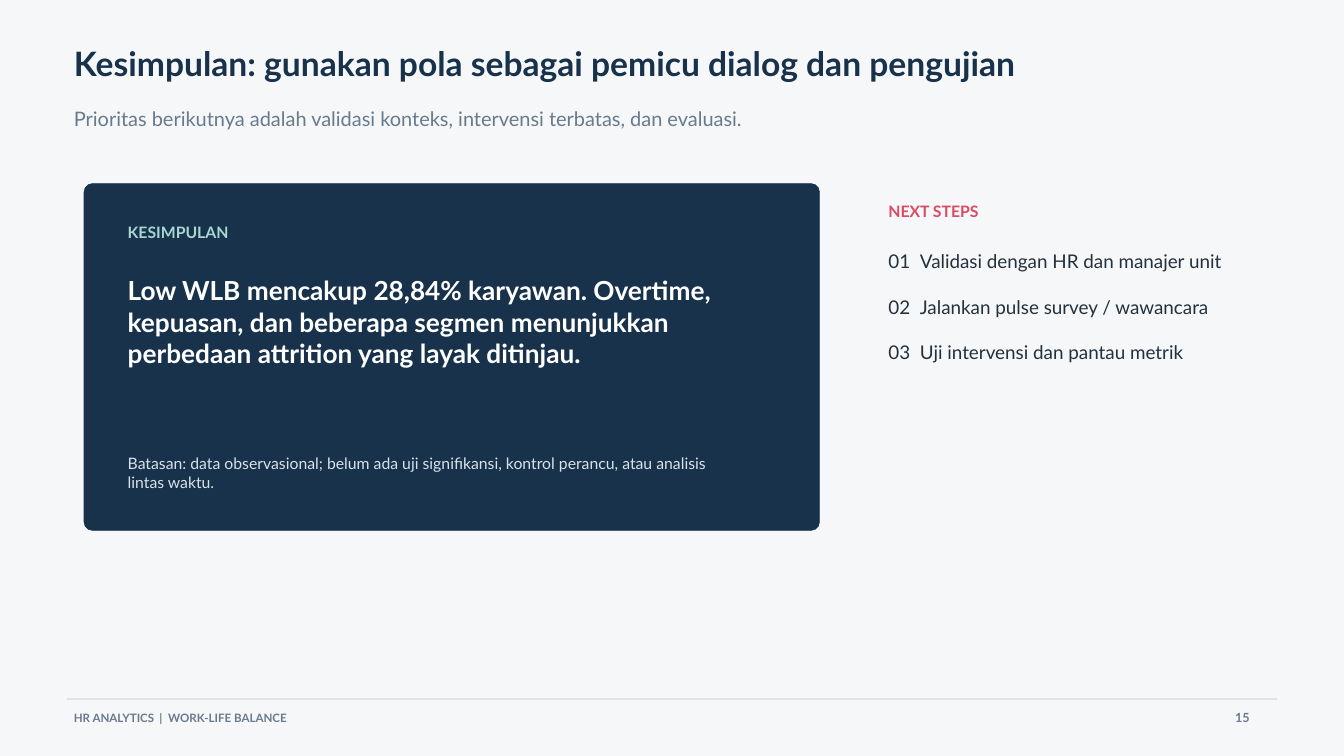
from lxml.etree import SubElement
from pptx import Presentation
from pptx.dml.color import RGBColor
from pptx.enum.shapes import MSO_CONNECTOR as Line, MSO_SHAPE as Shape
from pptx.enum.text import MSO_ANCHOR as Anchor, MSO_AUTO_SIZE as Fit, PP_ALIGN as Align
from pptx.oxml.ns import qn
from pptx.util import Pt

# Content
TITLE = "Kesimpulan: gunakan pola sebagai pemicu dialog dan pengujian"
LEAD = "Prioritas berikutnya adalah validasi konteks, intervensi terbatas, dan evaluasi."
CLAIM = ("Low WLB mencakup 28,84% karyawan. Overtime, kepuasan, dan beberapa "
         "segmen menunjukkan perbedaan attrition yang layak ditinjau.")
LIMIT = ("Batasan: data observasional; belum ada uji signifikansi, kontrol "
         "perancu, atau analisis lintas waktu.")
STEPS = ["Validasi dengan HR dan manajer unit",
         "Jalankan pulse survey / wawancara",
         "Uji intervensi dan pantau metrik"]

# Colours
PAPER, NAVY, GREY, RULE = "F6F7F9", "18324B", "687A8D", "DDE5EC"
MINT, WHITE, MIST, ROSE, INK = "A8D6D0", "FFFFFF", "D8E2EA", "D94B63", "23313D"

# Left edges and card frame
EDGE, INSET, SIDE = 79.2, 136.8, 951.84
CARD, ROUND = (90, 196.7, 788, 371.6), 9

# Text, left, top, width, height, size, line height, colour, bold
TEXTS = [
    (LEAD, EDGE, 114.5, 1257, 50, 21.4, 25.6, GREY, False),
    ("15", 1323.4, 761, 40, 21, 13.5, 16.2, GREY, True),
    ("KESIMPULAN", INSET, 239, 638, 23, 16.9, 20.2, MINT, True),
    (CLAIM, INSET, 293.8, 649.4, 156, 28.1, 33.8, WHITE, True),
    (LIMIT, INSET, 486.7, 649.4, 47.5, 16.9, 20.2, MIST, False),
    ("NEXT STEPS", SIDE, 216.7, 323, 23, 16.9, 20.2, ROSE, True),
]


def color(code):
    return RGBColor.from_string(code)


def write(box, text, left, top, width, height, size, lead, ink, bold,
          stops=(), gap=0):
    box.left, box.top, box.width, box.height = map(Pt, (left, top, width, height))
    frame = box.text_frame
    frame.text = text
    frame.word_wrap, frame.auto_size = True, Fit.NONE
    frame.vertical_anchor = Anchor.TOP
    frame.margin_left = frame.margin_right = frame.margin_top = frame.margin_bottom = 0
    for i, para in enumerate(frame.paragraphs):
        para.alignment = Align.LEFT
        para.line_spacing, para.space_before = Pt(lead), Pt(gap if i else 0)
        if stops:
            tabs = SubElement(para._p.get_or_add_pPr(), qn("a:tabLst"))
            for stop in stops:
                SubElement(tabs, qn("a:tab"), pos=str(Pt(stop)), algn="l")
        for run in para.runs:
            font = run.font
            font.name, font.size, font.bold = "Lato", Pt(size), bold
            font.color.rgb = color(ink)


def label(*args, **opts):
    write(slide.shapes.add_textbox(0, 0, 0, 0), *args, **opts)


deck = Presentation()
deck.slide_width, deck.slide_height = Pt(1440), Pt(810)
slide = deck.slides.add_slide(deck.slide_layouts[5])
slide.background.fill.solid()
slide.background.fill.fore_color.rgb = color(PAPER)

# Title
write(slide.shapes.title, TITLE, EDGE, 46, 1268, 58, 36, 43.2, NAVY, True)

# Footer rule
rule = slide.shapes.add_connector(Line.STRAIGHT, Pt(72), Pt(748.8), Pt(1368.5), Pt(748.8))
rule.line.color.rgb, rule.line.width = color(RULE), Pt(2)
SubElement(rule._element.spPr, qn("a:effectLst"))

# Conclusion card
card = slide.shapes.add_shape(Shape.ROUNDED_RECTANGLE, *map(Pt, CARD))
card.adjustments[0] = ROUND / CARD[3]
card.shadow.inherit = False
card.fill.solid()
card.fill.fore_color.rgb = card.line.color.rgb = color(NAVY)
card.line.width = Pt(0.56)

# Labels and body text
for item in TEXTS:
    label(*item)

# Footer text and numbered steps, spaced by tabs
label("HR ANALYTICS\t|\tWORK-LIFE BALANCE", EDGE, 761.8, 717, 20, 12.4, 14.8,
      GREY, True, stops=(91.7, 101))
steps = "\n".join(f"{i:02}\t{step}" for i, step in enumerate(STEPS, 1))
label(steps, SIDE, 267.8, 368, 223, 20.2, 24.3, INK, False, stops=(33.8,), gap=24.3)

deck.save("out.pptx")
